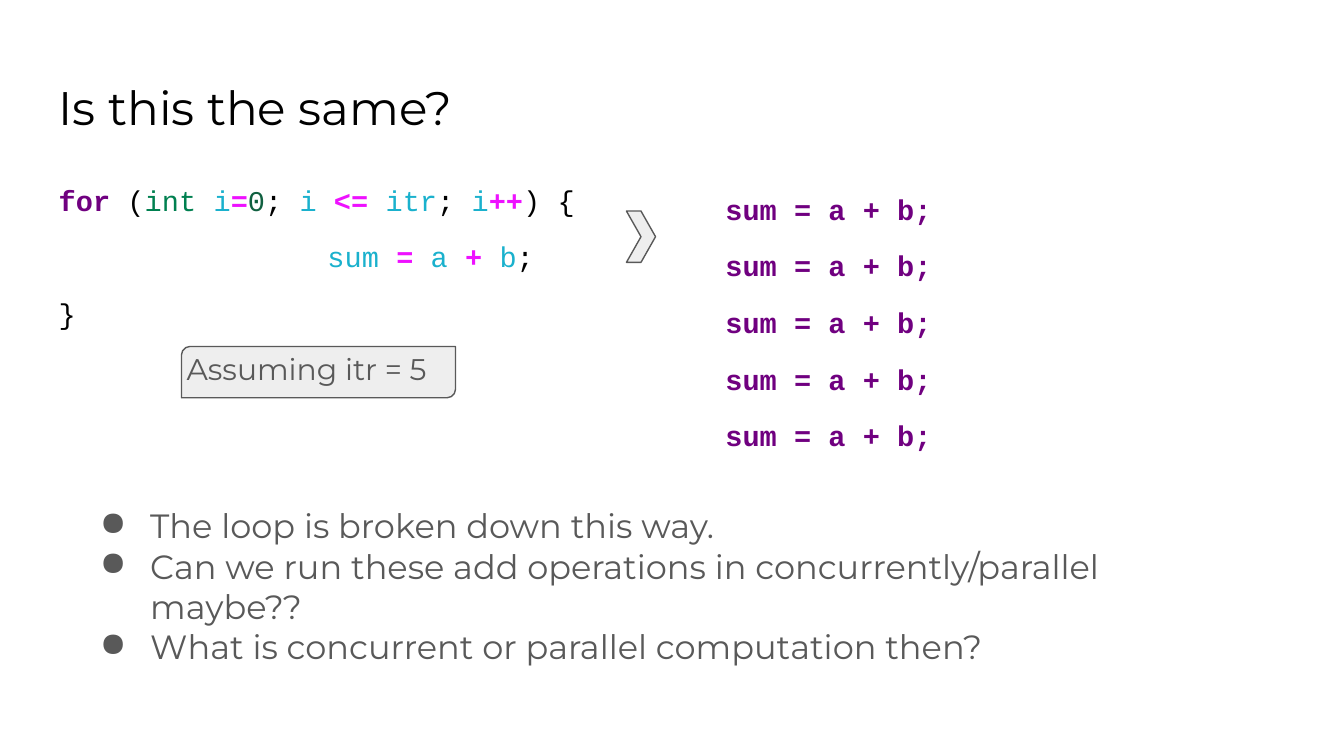
from dataclasses import dataclass

from pptx import Presentation
from pptx import util as u
from pptx.dml.color import RGBColor
from pptx.enum import shapes, text
from pptx.oxml.ns import qn


@dataclass(frozen=True)
class Theme:
    prose: str = "Montserrat"
    mono: str = "Courier New"
    title_size: float = 25.2
    code_size: float = 15.3
    label_size: float = 16
    bullet_size: float = 18
    title: str = "000000"
    body: str = "595959"
    panel: str = "EEEEEE"
    keyword: str = "700080"
    plain: str = "000000"
    type_name: str = "008050"
    variable: str = "1AB1CD"
    operator: str = "EE11FF"
    number: str = "106040"


THEME = Theme()
BOLD_TOKENS = ("keyword", "operator")

LOOP = [
    [("for", "keyword"), (" (", "plain"), ("int ", "type_name"), ("i", "variable"),
     ("=", "operator"), ("0", "number"), ("; ", "plain"), ("i ", "variable"),
     ("<= ", "operator"), ("itr", "variable"), ("; ", "plain"), ("i", "variable"),
     ("++", "operator"), (") {", "plain")],
    [("sum ", "variable"), ("= ", "operator"), ("a ", "variable"),
     ("+ ", "operator"), ("b", "variable"), (";", "plain")],
    [("}", "plain")],
]
UNROLLED = [[("sum = a + b;", "keyword")]] * 5
QUESTIONS = [
    "The loop is broken down this way.",
    "Can we run these add operations in concurrently/parallel maybe??",
    "What is concurrent or parallel computation then?",
]


class SlideBuilder:
    def __init__(self, slide, theme):
        self.slide = slide
        self.theme = theme

    def color(self, role):
        return RGBColor.from_string(getattr(self.theme, role))

    def style(self, font, face, size, role):
        font.name = face
        font.size = u.Pt(size)
        font.color.rgb = self.color(role)

    def prepare(self, frame):
        frame.word_wrap = True
        frame.auto_size = text.MSO_AUTO_SIZE.NONE
        frame.vertical_anchor = text.MSO_ANCHOR.TOP
        frame.margin_left = frame.margin_right = u.Cm(0.25)
        frame.margin_top = frame.margin_bottom = u.Cm(0.25)
        return frame

    def text_frame(self, left, top, width, height):
        box = self.slide.shapes.add_textbox(
            u.Cm(left), u.Cm(top), u.Cm(width), u.Cm(height))
        return self.prepare(box.text_frame)

    def paragraphs(self, frame, count):
        return [frame.paragraphs[0]] + [frame.add_paragraph() for _ in range(count - 1)]

    def title(self, wording, left, top, width, height):
        heading = self.slide.shapes.title
        heading.left, heading.top = u.Cm(left), u.Cm(top)
        heading.width, heading.height = u.Cm(width), u.Cm(height)
        frame = self.prepare(heading.text_frame)
        frame.text = wording
        line = frame.paragraphs[0]
        line.alignment = text.PP_ALIGN.LEFT
        self.style(line.font, self.theme.prose, self.theme.title_size, "title")

    def panel(self, preset, left, top, width, height):
        panel = self.slide.shapes.add_shape(
            preset, u.Cm(left), u.Cm(top), u.Cm(width), u.Cm(height))
        panel.shadow.inherit = False
        panel.fill.solid()
        panel.fill.fore_color.rgb = self.color("panel")
        panel.line.color.rgb = self.color("body")
        panel.line.width = u.Pt(0.75)

    def code(self, lines, left, top, width, height, indents=None):
        """Write lines of (token, role); indents maps a line index to its indent in cm."""
        frame = self.text_frame(left, top, width, height)
        for index, line in enumerate(self.paragraphs(frame, len(lines))):
            line.space_before = u.Pt(12 if index else 0)
            if index in (indents or {}):
                line._p.get_or_add_pPr().set("marL", str(u.Cm(indents[index])))
            for token, role in lines[index]:
                run = line.add_run()
                run.text = token
                self.style(run.font, self.theme.mono, self.theme.code_size, role)
                run.font.bold = role in BOLD_TOKENS

    def label(self, wording, left, top, width, height):
        line = self.text_frame(left, top, width, height).paragraphs[0]
        line.text = wording
        self.style(line.font, self.theme.prose, self.theme.label_size, "body")

    def bullets(self, items, left, top, width, height):
        frame = self.text_frame(left, top, width, height)
        for line, item in zip(self.paragraphs(frame, len(items)), items):
            line.text = item
            self.style(line.font, self.theme.prose, self.theme.bullet_size, "body")
            properties = line._p.get_or_add_pPr()
            properties.set("marL", str(u.Cm(1.27)))
            properties.set("indent", str(u.Cm(-0.95)))
            bullet = properties.makeelement(qn("a:buChar"), {"char": "●"})
            properties.insert_element_before(
                bullet, "a:tabLst", "a:defRPr", "a:extLst")


def main():
    deck = Presentation()
    deck.slide_width, deck.slide_height = u.Cm(25.4), u.Cm(14.29)
    title_only = deck.slide_layouts[5]
    page = SlideBuilder(deck.slides.add_slide(title_only), THEME)

    page.panel(shapes.MSO_SHAPE.ROUND_2_DIAG_RECTANGLE, 3.43, 6.55, 5.18, 0.97)
    page.title("Is this the same?", 0.86, 1.24, 23.67, 1.6)
    page.code(LOOP, 0.86, 3.2, 23.67, 9.5, indents={1: 5.08})
    page.panel(shapes.MSO_SHAPE.CHEVRON, 11.84, 3.99, 0.55, 0.97)
    page.code(UNROLLED, 13.46, 3.37, 5.44, 5.05)
    page.label("Assuming itr = 5", 3.28, 6.38, 5.87, 1.3)
    page.bullets(QUESTIONS, 1.32, 9.3, 21.59, 3.86)

    deck.save("out.pptx")


if __name__ == "__main__":
    main()
